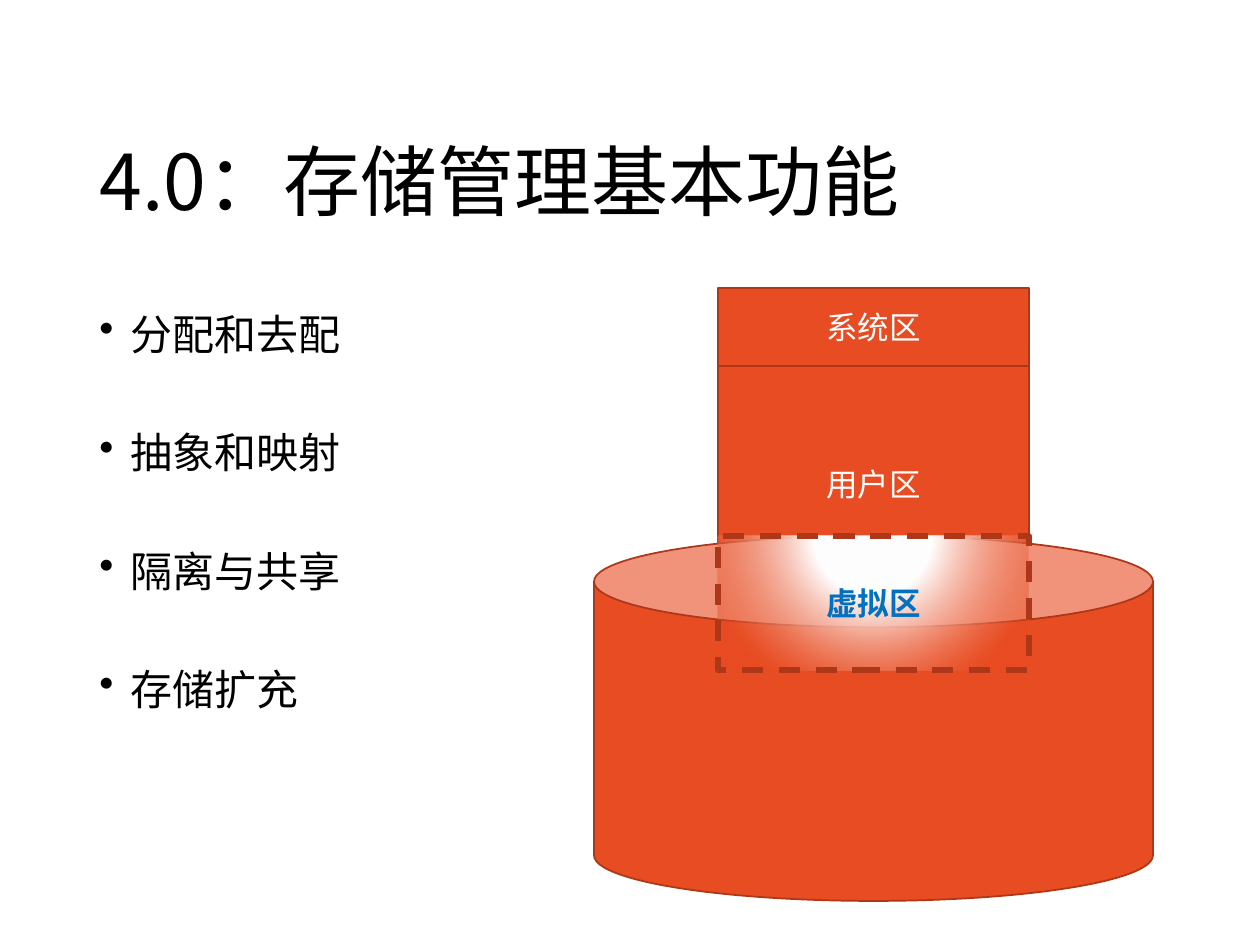
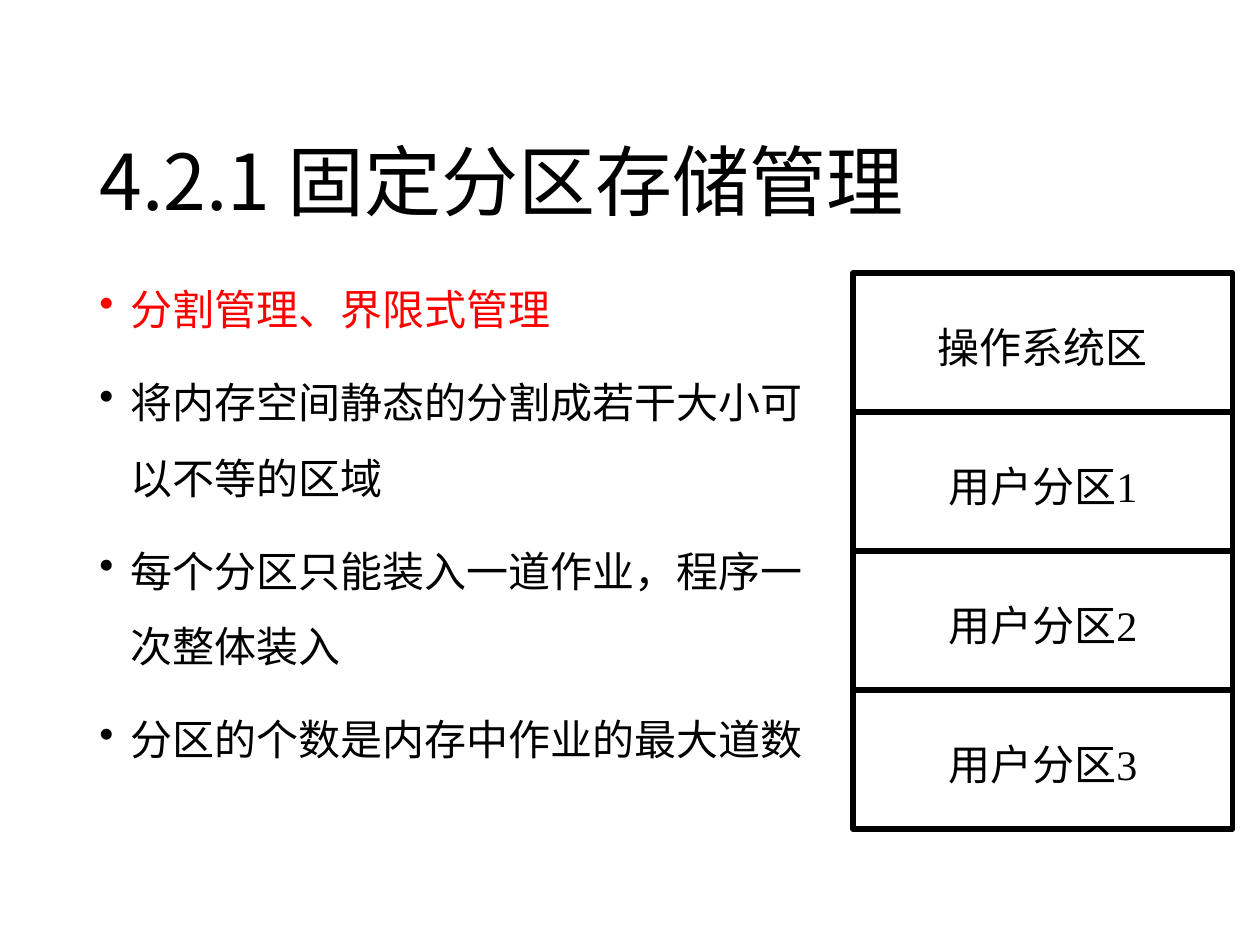
from lxml.etree import SubElement
from pptx import Presentation
from pptx.dml.color import RGBColor
from pptx.enum.dml import MSO_LINE_DASH_STYLE as Dash
from pptx.enum.shapes import MSO_SHAPE as Preset
from pptx.enum.text import MSO_ANCHOR as Anchor, PP_ALIGN as Align
from pptx.oxml import parse_xml
from pptx.oxml.ns import nsdecls, qn
from pptx.util import Emu, Inches, Pt

SCALE = 914400 / 126
COLORS = {"black": "000000", "white": "FFFFFF", "red": "FF0000",
          "orange": "E84C22", "rust": "AC3819", "blue": "0070C0"}
CJK_FONT = "Noto Sans CJK SC"
TITLE_BOX = (87, 50, 1086, 183)
BODY_TOP, BODY_HEIGHT = 252, 600


def px(length):
    """Turn pixels into EMU."""
    return Emu(round(length * SCALE))


def color(name):
    """Look up a shared colour."""
    return RGBColor.from_string(COLORS[name])


def write(frame, lines, size=18, font=CJK_FONT, ink="black", bold=None,
          align=Align.LEFT, anchor=Anchor.TOP, spacing=None, before=0,
          bullet=False, first_ink=None):
    """Fill a text frame with one formatted paragraph per line."""
    frame.word_wrap = True
    frame.vertical_anchor = anchor
    for index, line in enumerate(lines):
        para = frame.add_paragraph() if index else frame.paragraphs[0]
        para.alignment = align
        para.space_before = Pt(before)
        if spacing:
            para.line_spacing = spacing
        if bullet:
            props = para._p.get_or_add_pPr()
            props.set("marL", str(Inches(0.25)))
            props.set("indent", str(-Inches(0.25)))
            SubElement(props, qn("a:buChar"), char="•")
        span = para.add_run()
        span.text = line
        span.font.size, span.font.name, span.font.bold = Pt(size), font, bold
        span.font.color.rgb = color(first_ink if first_ink and not index else ink)
        SubElement(span._r.get_or_add_rPr(), qn("a:ea"), typeface=CJK_FONT)


def add_text(page, box, lines, **style):
    """Place a text box and write into it."""
    write(page.shapes.add_textbox(*map(px, box)).text_frame, lines, **style)


def add_block(page, box, preset=Preset.RECTANGLE, fill=None, line="rust", width=1):
    """Place an outlined preset shape, filled or empty."""
    block = page.shapes.add_shape(preset, *map(px, box))
    block.shadow.inherit = False
    if fill:
        block.fill.solid()
        block.fill.fore_color.rgb = color(fill)
    else:
        block.fill.background()
    block.line.color.rgb = color(line)
    block.line.width = Pt(width)
    return block


def glow(block):
    """Give a block a radial fill, from white to see-through orange."""
    props = block._element.spPr
    props.replace(props.find(qn("a:noFill")), parse_xml(
        f'<a:gradFill {nsdecls("a")} rotWithShape="1"><a:gsLst>'
        f'<a:gs pos="0"><a:srgbClr val="{COLORS["white"]}"/></a:gs>'
        f'<a:gs pos="35000"><a:srgbClr val="{COLORS["white"]}"/></a:gs>'
        f'<a:gs pos="100000"><a:srgbClr val="{COLORS["orange"]}">'
        '<a:alpha val="40000"/></a:srgbClr></a:gs></a:gsLst>'
        '<a:path path="circle"><a:fillToRect l="50000" t="-80000" '
        'r="50000" b="180000"/></a:path></a:gradFill>'))


def add_page(deck, title, points, body_width, **style):
    """Add a slide with a title and a bulleted list on the left."""
    page = deck.slides.add_slide(deck.slide_layouts[6])
    add_text(page, TITLE_BOX, [title], size=44, anchor=Anchor.BOTTOM, spacing=0.9)
    add_text(page, (TITLE_BOX[0], BODY_TOP, body_width, BODY_HEIGHT), points,
             size=24, before=10, bullet=True, **style)
    return page


def draw_memory_on_disk(page, box):
    """Draw memory zones standing on a disk, with the virtual zone inside it."""
    left, top, width, height = box
    zone_width = 311
    zone_left = left + (width - zone_width) / 2
    disk_top = top + 248
    label = dict(font="Calibri", align=Align.CENTER, anchor=Anchor.MIDDLE)
    for name, offset, zone_height in (("系统区", 0, 78), ("用户区", 78, 235)):
        zone = add_block(page, (zone_left, top + offset, zone_width, zone_height),
                         fill="orange")
        write(zone.text_frame, [name], ink="white", **label)
    add_block(page, (left, disk_top, width, height - 248), Preset.CAN, fill="orange")
    virtual = add_block(page, (zone_left, disk_top, zone_width, 134), width=3)
    glow(virtual)
    virtual.line.dash_style = Dash.DASH
    write(virtual.text_frame, ["虚拟区"], ink="blue", bold=True, **label)


def draw_partitions(page, box, names):
    """Stack equal memory partitions in the box."""
    left, top, width, height = box
    step = height / len(names)
    for index, name in enumerate(names):
        part = add_block(page, (left, top + index * step, width, step),
                         line="black", width=3)
        frame = part.text_frame
        frame.margin_left = frame.margin_right = frame.margin_bottom = 0
        frame.margin_top = px(8)
        write(frame, [name], size=24, font="Times New Roman",
              align=Align.CENTER, anchor=Anchor.MIDDLE)


deck = Presentation()
deck.slide_width, deck.slide_height = px(1260), px(945)

functions_page = add_page(
    deck, "4.0：存储管理基本功能",
    ["分配和去配", "抽象和映射", "隔离与共享", "存储扩充"], 440, spacing=2.0)
draw_memory_on_disk(functions_page, (594, 288, 559, 613))

partition_page = add_page(
    deck, "4.2.1 固定分区存储管理",
    ["分割管理、界限式管理",
     "将内存空间静态的分割成若干大小可以不等的区域",
     "每个分区只能装入一道作业，程序一次整体装入",
     "分区的个数是内存中作业的最大道数"],
    733, spacing=1.5, first_ink="red")
draw_partitions(partition_page, (853, 273, 380, 556),
                ["操作系统区"] + [f"用户分区{number}" for number in range(1, 4)])

deck.save("out.pptx")
